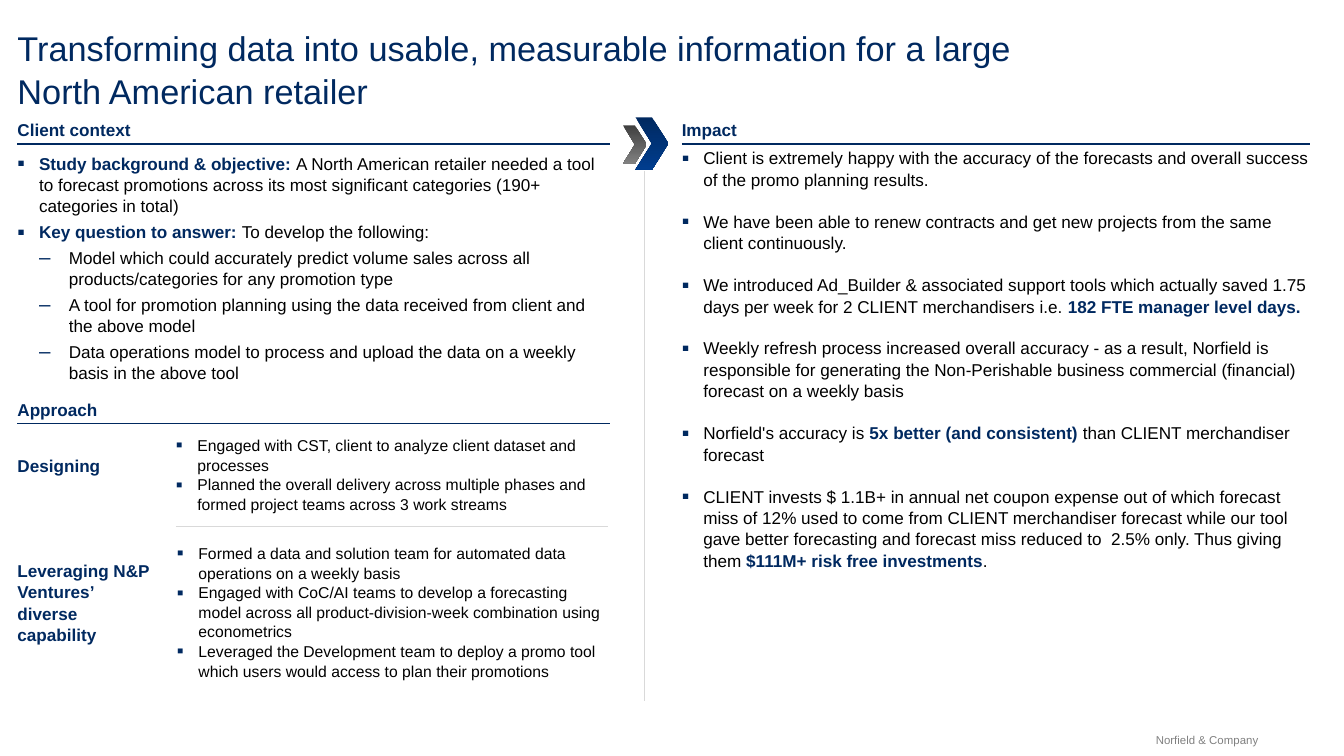
from lxml import etree
from pptx import Presentation
from pptx.dml.color import RGBColor
from pptx.enum.shapes import MSO_CONNECTOR, MSO_SHAPE
from pptx.enum.text import MSO_ANCHOR
from pptx.oxml.ns import qn
from pptx.util import Inches, Pt

STRAIGHT = MSO_CONNECTOR.STRAIGHT
CHEVRON = MSO_SHAPE.CHEVRON
TOP, BOTTOM = MSO_ANCHOR.TOP, MSO_ANCHOR.BOTTOM

NAVY = RGBColor(0x00, 0x29, 0x60)
BLUE = RGBColor(0x00, 0x3D, 0x8E)
BLACK = RGBColor(0x00, 0x00, 0x00)
DARK_GREY = RGBColor(0x40, 0x40, 0x40)
GREY = RGBColor(0x80, 0x80, 0x80)
LIGHT_GREY = RGBColor(0xD9, 0xD9, 0xD9)

FONT = "Arial"
LINE_SPACING = 1.04
LEFT, LEFT_WIDTH = 0.17, 5.76
RIGHT, RIGHT_WIDTH = 6.63, 6.11
LABEL_WIDTH = 1.29
STEP_WIDTH = 4.2

# Bullet styles: character, size in percent, left margin, hanging indent
SQUARE = ("▪", 125, 0.21, 0.21)
DASH = ("–", 120, 0.5, 0.29)

# Each bullet is a style and its text pieces; a piece in a tuple is emphasised
CONTEXT = [
    (SQUARE, [("Study background & objective: ",),
              "A North American retailer needed a tool to forecast promotions across "
              "its most significant categories (190+ categories in total)"]),
    (SQUARE, [("Key question to answer: ",), "To develop the following:"]),
    (DASH, ["Model which could accurately predict volume sales across all "
            "products/categories for any promotion type"]),
    (DASH, ["A tool for promotion planning using the data received from client "
            "and the above model"]),
    (DASH, ["Data operations model to process and upload the data on a weekly "
            "basis in the above tool"]),
]
DESIGNING = [
    (SQUARE, ["Engaged with CST, client to analyze client dataset and processes"]),
    (SQUARE, ["Planned the overall delivery across multiple phases and formed "
              "project teams across 3 work streams"]),
]
LEVERAGING = [
    (SQUARE, ["Formed a data and solution team for automated data operations "
              "on a weekly basis"]),
    (SQUARE, ["Engaged with CoC/AI teams to develop a forecasting model across all "
              "product-division-week combination using econometrics"]),
    (SQUARE, ["Leveraged the Development team to deploy a promo tool which users "
              "would access to plan their promotions"]),
]
IMPACT = [
    (SQUARE, ["Client is extremely happy with the accuracy of the forecasts and "
              "overall success of the promo planning results."]),
    (SQUARE, ["We have been able to renew contracts and get new projects from the "
              "same client continuously."]),
    (SQUARE, ["We introduced Ad_Builder & associated support tools which actually "
              "saved 1.75 days per week for 2 CLIENT merchandisers i.e. ",
              ("182 FTE manager level days.",)]),
    (SQUARE, ["Weekly refresh process increased overall accuracy - as a result, "
              "Norfield is responsible for generating the Non-Perishable business "
              "commercial (financial) forecast on a weekly basis"]),
    (SQUARE, ["Norfield's accuracy is ", ("5x better (and consistent) ",),
              "than CLIENT merchandiser forecast"]),
    (SQUARE, ["CLIENT invests $ 1.1B+ in annual net coupon expense out of which "
              "forecast miss of 12% used to come from CLIENT merchandiser forecast "
              "while our tool gave better forecasting and forecast miss reduced to  "
              "2.5% only. Thus giving them ",
              ("$111M+ risk free investments",), "."]),
]


def add_frame(slide, left, top, width, height, anchor=TOP):
    """Add a text box without margins and return its text frame."""
    box = slide.shapes.add_textbox(Inches(left), Inches(top), Inches(width), Inches(height))
    frame = box.text_frame
    frame.word_wrap = True
    frame.vertical_anchor = anchor
    frame.margin_left = frame.margin_right = frame.margin_top = frame.margin_bottom = 0
    return frame


def add_label(slide, text, left, top, width, height, size=12, color=NAVY,
              bold=True, anchor=BOTTOM):
    paragraph = add_frame(slide, left, top, width, height, anchor).paragraphs[0]
    paragraph.text = text
    paragraph.line_spacing = LINE_SPACING
    font = paragraph.font
    font.name, font.size, font.bold = FONT, Pt(size), bold
    font.color.rgb = color


def set_bullet(paragraph, style):
    char, percent, margin, hanging = style
    properties = paragraph._p.get_or_add_pPr()
    properties.set("marL", str(Inches(margin)))
    properties.set("indent", str(-Inches(hanging)))
    color = etree.SubElement(properties, qn("a:buClr"))
    etree.SubElement(color, qn("a:srgbClr"), val=str(NAVY))
    etree.SubElement(properties, qn("a:buSzPct"), val=str(percent * 1000))
    etree.SubElement(properties, qn("a:buFont"), typeface=FONT)
    etree.SubElement(properties, qn("a:buChar"), char=char)


def add_bullets(slide, bullets, left, top, width, height, size=12, gap=0):
    frame = add_frame(slide, left, top, width, height)
    for index, (style, pieces) in enumerate(bullets):
        paragraph = frame.add_paragraph() if index else frame.paragraphs[0]
        set_bullet(paragraph, style)
        paragraph.line_spacing = LINE_SPACING
        if index and gap:
            paragraph.space_before = Pt(gap)
        paragraph.font.name, paragraph.font.size = FONT, Pt(size)
        for piece in pieces:
            emphasised = isinstance(piece, tuple)
            run = paragraph.add_run()
            run.text = piece[0] if emphasised else piece
            run.font.bold = emphasised
            run.font.color.rgb = NAVY if emphasised else BLACK


def add_rule(slide, x1, y1, x2, y2, color):
    rule = slide.shapes.add_connector(STRAIGHT, Inches(x1), Inches(y1), Inches(x2), Inches(y2))
    rule.line.color.rgb = color
    rule.line.width = Pt(0.75)
    etree.SubElement(rule._element.spPr, qn("a:effectLst"))


def add_heading(slide, text, left, top, width):
    """Add a section heading with the rule below it."""
    add_label(slide, text, left, top, width, 0.2)
    rule_y = top + 0.24
    add_rule(slide, left, rule_y, left + width, rule_y, NAVY)


def add_chevron(slide, left, top, width, height, top_color, bottom_color):
    chevron = slide.shapes.add_shape(CHEVRON, Inches(left), Inches(top),
                                     Inches(width), Inches(height))
    chevron.shadow.inherit = False
    chevron.line.fill.background()
    chevron.fill.gradient()
    chevron.fill.gradient_angle = 270
    for stop, color in zip(chevron.fill.gradient_stops, (top_color, bottom_color)):
        stop.color.rgb = color


def main():
    prs = Presentation()
    prs.slide_width, prs.slide_height = Inches(13.07), Inches(7.35)
    slide = prs.slides.add_slide(prs.slide_layouts[6])

    add_label(slide, "Transforming data into usable, measurable information for a large\v"
              "North American retailer", LEFT, 0.25, 12.57, 0.81,
              size=24, bold=False, anchor=TOP)
    add_label(slide, "Norfield & Company", 11.24, 7.12, 1.3, 0.13,
              size=8, color=GREY, bold=False, anchor=TOP)

    add_heading(slide, "Client context", LEFT, 1.16, LEFT_WIDTH)
    add_bullets(slide, CONTEXT, LEFT, 1.48, LEFT_WIDTH, 2.3, gap=3)

    add_heading(slide, "Approach", LEFT, 3.88, LEFT_WIDTH)
    add_label(slide, "Designing", LEFT, 4.43, LABEL_WIDTH, 0.2)
    add_bullets(slide, DESIGNING, 1.71, 4.23, STEP_WIDTH, 0.74, size=11)
    add_rule(slide, 1.71, 5.12, 5.91, 5.12, LIGHT_GREY)
    add_label(slide, "Leveraging N&P Ventures’ diverse capability",
              LEFT, 5.46, LABEL_WIDTH, 0.81)
    add_bullets(slide, LEVERAGING, 1.72, 5.28, STEP_WIDTH, 1.3, size=11)

    add_rule(slide, 6.27, 1.66, 6.27, 6.82, LIGHT_GREY)
    add_chevron(slide, 6.06, 1.22, 0.23, 0.37, DARK_GREY, GREY)
    add_chevron(slide, 6.18, 1.14, 0.32, 0.51, NAVY, BLUE)

    add_heading(slide, "Impact", RIGHT, 1.16, RIGHT_WIDTH)
    add_bullets(slide, IMPACT, RIGHT, 1.43, RIGHT_WIDTH, 4.04, gap=14.4)

    prs.save("out.pptx")


if __name__ == "__main__":
    main()
